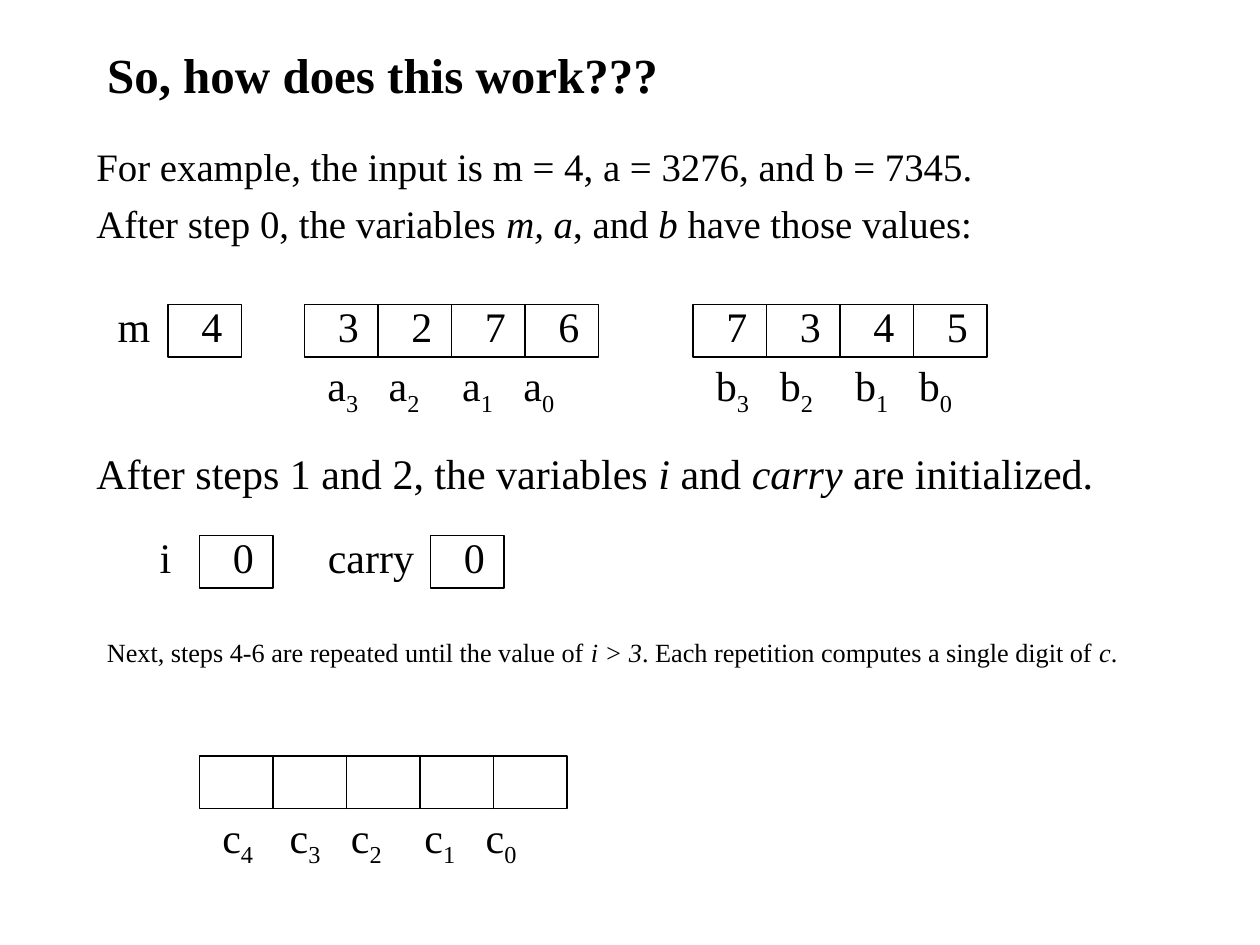
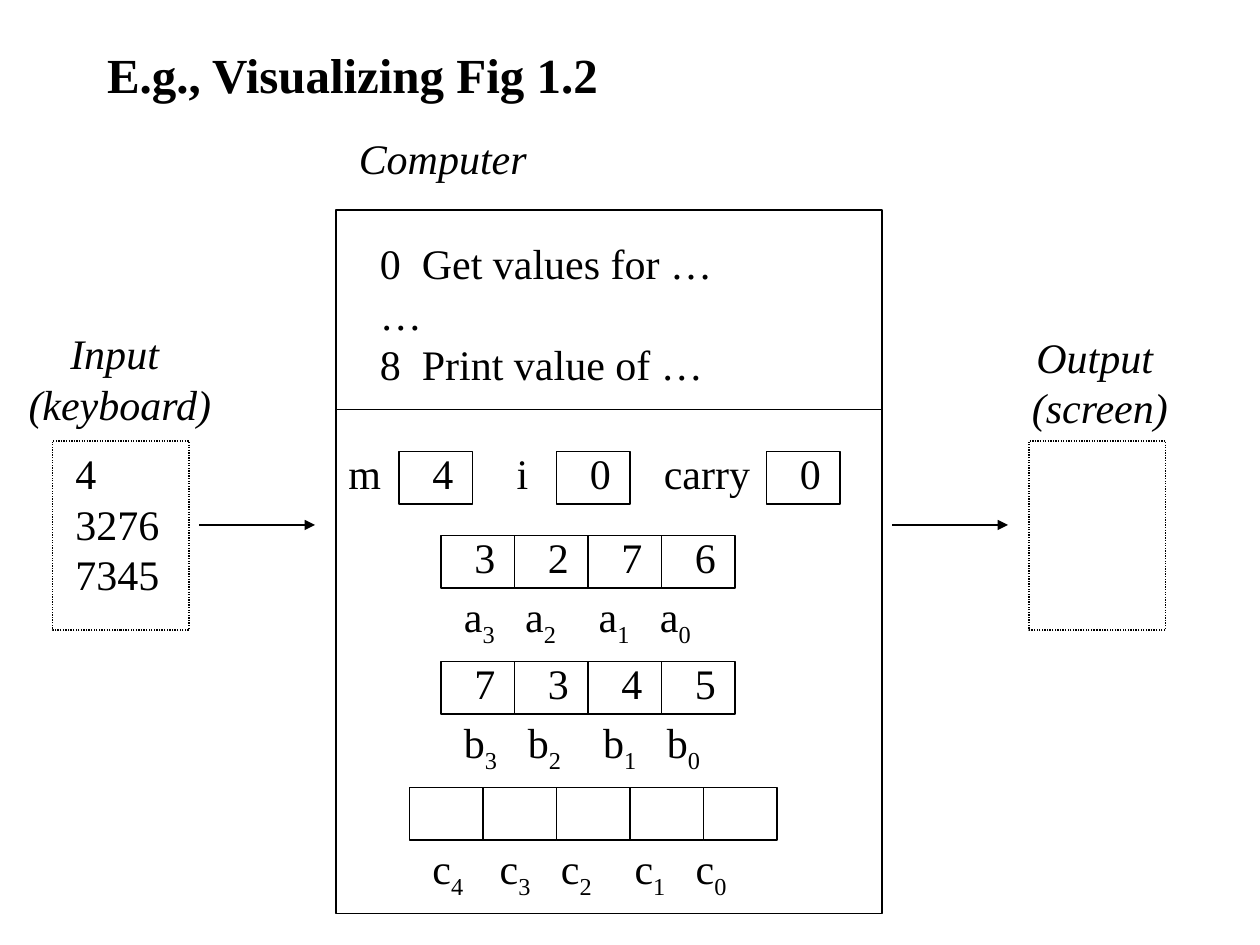
from lxml import etree
from pptx import Presentation
from pptx.dml.color import RGBColor
from pptx.enum.dml import MSO_LINE
from pptx.enum.shapes import MSO_CONNECTOR, MSO_SHAPE
from pptx.enum.text import MSO_ANCHOR, MSO_AUTO_SIZE, PP_ALIGN
from pptx.oxml.ns import qn
from pptx.util import Pt

BLACK = RGBColor(0, 0, 0)
FONT = "Times New Roman"
LEFT, CENTER = PP_ALIGN.LEFT, PP_ALIGN.CENTER
TOP, MIDDLE = MSO_ANCHOR.TOP, MSO_ANCHOR.MIDDLE
NO_AUTOFIT = MSO_AUTO_SIZE.NONE
RECTANGLE, STRAIGHT = MSO_SHAPE.RECTANGLE, MSO_CONNECTOR.STRAIGHT
DOTTED = MSO_LINE.ROUND_DOT
TITLE_ONLY = 5

CELL_W, CELL_H = 42, 30
LINE_WIDTH = 0.75
# Width of each variable's label and its distance to the cell on its right
LABELS = {"m": (33, 36), "i": (21, 30), "carry": (64, 66)}
# Tab stops between the subscripted names below each array
NAME_TABS = {"a": (35, 77, 112), "b": (36.5, 79.5, 116), "c": (38.5, 73.5, 115.5, 150.5)}


def set_tabs(paragraph, stops):
    tab_list = etree.SubElement(paragraph._p.get_or_add_pPr(), qn("a:tabLst"))
    for stop in stops:
        etree.SubElement(tab_list, qn("a:tab"), pos=str(Pt(stop)), algn="l")


def write(frame, text, size=24, bold=False, italic=False, align=LEFT, gap=0, tabs=()):
    """Fill a frame, one paragraph a line; *...* is italic and _..._ is subscript."""
    for number, line in enumerate(text.split("\n")):
        paragraph = frame.add_paragraph() if number else frame.paragraphs[0]
        if tabs:
            set_tabs(paragraph, tabs)
        paragraph.alignment = align
        if number and gap:
            paragraph.space_before = Pt(gap)
        for star, part in enumerate(line.split("*")):
            for underscore, piece in enumerate(part.split("_")):
                if not piece:
                    continue
                run = paragraph.add_run()
                run.text = piece
                font = run.font
                font.name, font.size, font.bold = FONT, Pt(size), bold
                font.italic = italic or star % 2 == 1
                font.color.rgb = BLACK
                if underscore % 2:
                    run._r.get_or_add_rPr().set("baseline", "-25000")


class Deck:
    def __init__(self):
        self.presentation = Presentation()
        self.presentation.slide_width = Pt(720)
        self.presentation.slide_height = Pt(540)
        self.slide = None

    def new_slide(self, title):
        layout = self.presentation.slide_layouts[TITLE_ONLY]
        self.slide = self.presentation.slides.add_slide(layout)
        heading = self.slide.shapes.title
        heading.left, heading.top = Pt(54), Pt(24)
        heading.width, heading.height = Pt(612), Pt(36)
        heading.text_frame.auto_size = NO_AUTOFIT
        heading.text_frame.vertical_anchor = MIDDLE
        write(heading.text_frame, title, size=28, bold=True)

    def text(self, left, top, width, height, text, anchor=MIDDLE, wrap=True, **style):
        box = self.slide.shapes.add_textbox(Pt(left), Pt(top), Pt(width), Pt(height))
        box.text_frame.word_wrap = wrap
        box.text_frame.auto_size = NO_AUTOFIT
        box.text_frame.vertical_anchor = anchor
        write(box.text_frame, text, **style)

    def label(self, left, top, width, height, text, **style):
        self.text(left, top, width, height, text, wrap=False, align=CENTER, **style)

    def sentence(self, left, top, height, text, **style):
        self.text(left, top, 618, height, text, anchor=TOP, **style)

    def outline(self, left, top, width, height, dash=None):
        box = self.slide.shapes.add_shape(
            RECTANGLE, Pt(left), Pt(top), Pt(width), Pt(height))
        box.shadow.inherit = False
        box.fill.background()
        box.line.color.rgb = BLACK
        box.line.width = Pt(LINE_WIDTH)
        if dash:
            box.line.dash_style = dash

    def rule(self, left, right, y, arrow=False):
        line = self.slide.shapes.add_connector(
            STRAIGHT, Pt(left), Pt(y), Pt(right), Pt(y))
        line.line.color.rgb = BLACK
        line.line.width = Pt(LINE_WIDTH)
        properties = line._element.spPr
        if arrow:
            outline = properties.find(qn("a:ln"))
            etree.SubElement(outline, qn("a:tailEnd"), type="triangle")
        etree.SubElement(properties, qn("a:effectLst"))

    def variable(self, name, value, left, top):
        """Draw a named single cell, starting at its label."""
        label_width, cell_offset = LABELS[name]
        cell_left = left + cell_offset
        self.outline(cell_left, top, CELL_W, CELL_H)
        self.label(left, top - 6, label_width, 36, name)
        self.label(cell_left + 12, top - 6, 26, 36, value)

    def array(self, name, digits, left, top):
        """Draw a row of cells with its digits and the subscripted names below."""
        tabs = NAME_TABS[name]
        count = len(tabs) + 1
        for index in range(count):
            self.outline(left + index * CELL_W, top, CELL_W, CELL_H)
        if digits:
            stops = [CELL_W * index for index in range(1, count)]
            self.text(left + 12, top - 6, count * CELL_W, 36, "\t".join(digits),
                      tabs=stops)
        names = "\t".join(f"{name}_{index}_" for index in reversed(range(count)))
        self.text(left + 6, top + 28, count * CELL_W, 40, names, tabs=tabs)


def trace_slide(deck):
    deck.new_slide("So, how does this work???")
    deck.sentence(48, 78, 66,
                  "For example, the input is m = 4, a = 3276, and b = 7345.\n"
                  "After step 0, the variables *m, a*, and *b* have those values:",
                  size=22.2, gap=6)
    deck.variable("m", "4", 60, 174)
    deck.array("a", "3276", 174, 174)
    deck.array("b", "7345", 396, 174)
    deck.sentence(48, 252, 42,
                  "After steps 1 and 2, the variables *i* and *carry* are initialized.")
    deck.variable("i", "0", 84, 306)
    deck.variable("carry", "0", 180, 306)
    deck.sentence(54, 360, 42,
                  "Next, steps 4-6 are repeated until the value of *i > 3*. "
                  "Each repetition computes a single digit of* c*.", size=15)
    deck.array("c", "", 114, 432)


def machine_slide(deck):
    deck.new_slide("E.g., Visualizing Fig 1.2")
    deck.label(198, 72, 110, 36, "Computer", italic=True)
    deck.outline(192, 120, 312, 402)
    deck.rule(192, 504, 234)
    deck.text(210, 132, 205, 94,
              "0\tGet values for …\n…\n8\tPrint value of …", tabs=[24])
    for name, value, left in (("m", "4", 192), ("i", "0", 288), ("carry", "0", 372)):
        deck.variable(name, value, left, 258)
    for name, digits, left, top in (
            ("a", "3276", 252, 306), ("b", "7345", 252, 378), ("c", "", 234, 450)):
        deck.array(name, digits, left, top)

    deck.label(8.5, 183.5, 120, 65, "Input \n(keyboard)", italic=True)
    deck.label(582, 185.5, 93, 65, "Output \n(screen)", italic=True)
    deck.text(36, 252, 64, 94, "4\n3276\n7345")
    for device_left, arrow_left in ((30, 114), (588, 510)):
        deck.outline(device_left, 252, 78, 108, dash=DOTTED)
        deck.rule(arrow_left, arrow_left + 66, 300, arrow=True)


def main():
    deck = Deck()
    trace_slide(deck)
    machine_slide(deck)
    deck.presentation.save("out.pptx")


if __name__ == "__main__":
    main()
